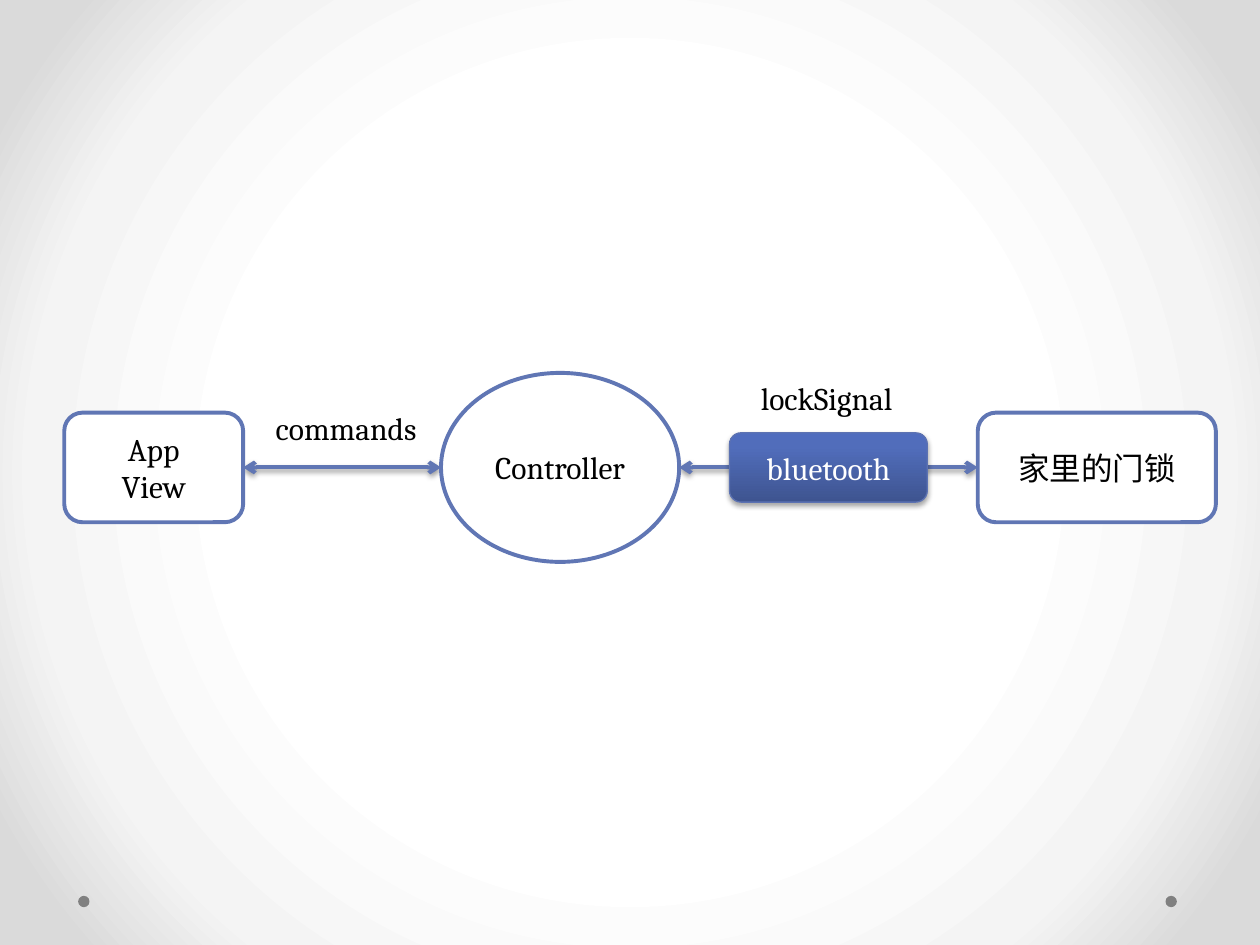
import pptx
import pptx.util
import pptx.dml.color
import pptx.enum.shapes
import pptx.enum.text
import pptx.oxml
import pptx.oxml.ns
from dataclasses import dataclass

Inches = pptx.util.Inches
Pt = pptx.util.Pt
RGB = pptx.dml.color.RGBColor.from_string
Shape = pptx.enum.shapes.MSO_SHAPE
qn = pptx.oxml.ns.qn
NS = pptx.oxml.ns.nsdecls("a")


@dataclass
class Theme:
    font: str = "Cambria"
    size: float = 18
    ink: str = "000000"
    white: str = "FFFFFF"
    blue: str = "6076B4"
    edge: str = "5C72B2"
    dot: str = "808080"
    thick: float = 2.25
    thin: float = 0.75
    back: tuple = ((50, "FFFFFF"), (76, "F4F4F4"), (92, "DADADA"))
    badge: tuple = ((0, "3E5490"), (80, "516DBB"), (100, "4F6CBE"))


theme = Theme()


def blend(root, stops, way):
    node = root.find(".//" + qn("a:gradFill"))
    for child in list(node):
        node.remove(child)
    marks = "".join(
        f'<a:gs pos="{pos * 1000}"><a:srgbClr val="{color}"/></a:gs>' for pos, color in stops
    )
    node.append(pptx.oxml.parse_xml(f"<a:gsLst {NS}>{marks}</a:gsLst>"))
    node.append(pptx.oxml.parse_xml(way))


def shade(item, alpha, dist):
    item._element.spPr.append(pptx.oxml.parse_xml(
        f'<a:effectLst {NS}><a:outerShdw blurRad="{Pt(3.1)}" dist="{Pt(dist)}" dir="5400000" '
        f'rotWithShape="0"><a:srgbClr val="{theme.ink}"><a:alpha val="{alpha * 1000}"/>'
        "</a:srgbClr></a:outerShdw></a:effectLst>"
    ))


deck = pptx.Presentation()
deck.slide_width, deck.slide_height = Inches(10), Inches(7.5)
slide = deck.slides.add_slide(deck.slide_layouts[6])
shapes = slide.shapes

slide.background.fill.gradient()
blend(slide._element, theme.back,
      f'<a:path {NS} path="circle"><a:fillToRect l="50000" t="50000" r="50000" b="50000"/></a:path>')

for left in (9.25, 0.62):
    dot = shapes.add_shape(Shape.OVAL, Inches(left), Inches(7.11), Inches(0.09), Inches(0.09))
    dot.shadow.inherit = False
    dot.fill.solid()
    dot.fill.fore_color.rgb = RGB(theme.dot)
    dot.line.fill.background()

mid = 3.71
links = []
for start, end in ((1.93, 3.5), (5.39, 7.76)):
    link = shapes.add_connector(pptx.enum.shapes.MSO_CONNECTOR.STRAIGHT,
                                Inches(start), Inches(mid), Inches(end), Inches(mid))
    link.line.color.rgb = RGB(theme.blue)
    link.line.width = Pt(theme.thick)
    for tag in ("headEnd", "tailEnd"):
        link.line._ln.append(pptx.oxml.parse_xml(f'<a:{tag} {NS} type="arrow"/>'))
    shade(link, 38, 1.6)
    links.append(link)

nodes = []
for kind, left, wide, high, lines, ink, edge, thick in (
    (Shape.ROUNDED_RECTANGLE, 0.51, 1.42, 0.87, "App\nView", theme.ink, theme.blue, theme.thick),
    (Shape.OVAL, 3.5, 1.89, 1.5, "Controller", theme.ink, theme.blue, theme.thick),
    (Shape.ROUNDED_RECTANGLE, 7.76, 1.89, 0.87, "家里的门锁", theme.ink, theme.blue, theme.thick),
    (Shape.ROUNDED_RECTANGLE, 5.79, 1.57, 0.55, "bluetooth", theme.white, theme.edge, theme.thin),
):
    node = shapes.add_shape(kind, Inches(left), Inches(mid - high / 2), Inches(wide), Inches(high))
    node.fill.solid()
    node.fill.fore_color.rgb = RGB(theme.white)
    node.line.color.rgb = RGB(edge)
    node.line.width = Pt(thick)
    frame = node.text_frame
    frame.text = lines
    frame.vertical_anchor = pptx.enum.text.MSO_ANCHOR.MIDDLE
    for para in frame.paragraphs:
        para.alignment = pptx.enum.text.PP_ALIGN.CENTER
        para.font.name = theme.font
        para.font.size = Pt(theme.size)
        para.font.color.rgb = RGB(ink)
    nodes.append(node)

view, control, lock, badge = nodes
for node in (view, control, lock):
    node.shadow.inherit = False
badge.fill.gradient()
blend(badge._element, theme.badge, f'<a:lin {NS} ang="16200000" scaled="0"/>')
shade(badge, 35, 1.8)
links[0].begin_connect(view, 3)
links[1].end_connect(lock, 1)

for left, top, wide, label in ((2.09, 3.2, 1.43, "commands"), (5.94, 2.96, 1.36, "lockSignal")):
    frame = shapes.add_textbox(Inches(left), Inches(top), Inches(wide), Inches(0.4)).text_frame
    frame.word_wrap = False
    frame.auto_size = pptx.enum.text.MSO_AUTO_SIZE.SHAPE_TO_FIT_TEXT
    frame.text = label
    para = frame.paragraphs[0]
    para.font.name = theme.font
    para.font.size = Pt(theme.size)
    para.font.color.rgb = RGB(theme.ink)

deck.save("out.pptx")
